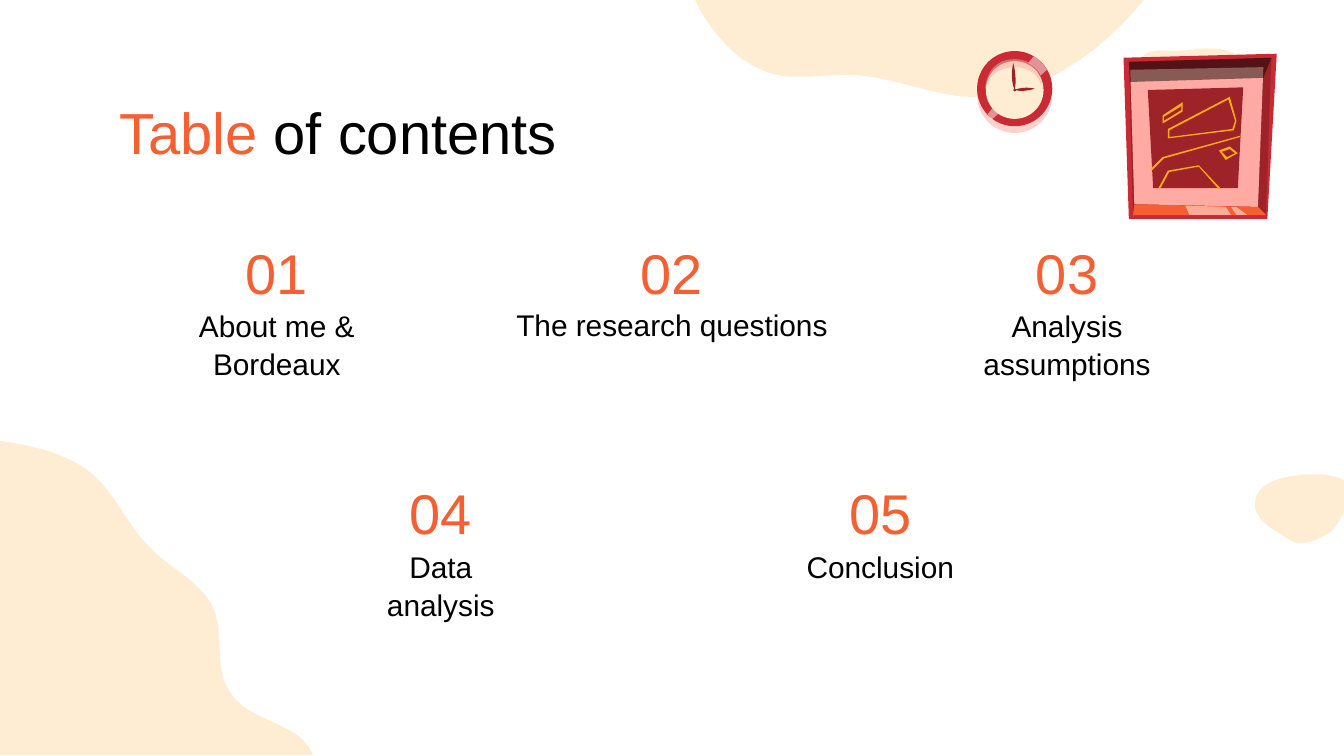
"""Build a table of contents slide with soft blobs, a wall clock and a window."""

from lxml.etree import SubElement
from pptx import Presentation
from pptx.dml.color import RGBColor
from pptx.enum.shapes import MSO_SHAPE
from pptx.enum.text import MSO_ANCHOR, PP_ALIGN
from pptx.oxml.ns import qn
from pptx.util import Cm, Pt

ORANGE = RGBColor(0xF5, 0x60, 0x33)
CREAM = RGBColor(0xFF, 0xED, 0xD3)
RED = RGBColor(0xCA, 0x2A, 0x34)
MAROON = RGBColor(0x9E, 0x23, 0x28)
PINK = RGBColor(0xFF, 0xAB, 0xA4)
GOLD = RGBColor(0xFF, 0xAC, 0x18)
BLACK = RGBColor(0, 0, 0)
WHITE = RGBColor(0xFF, 0xFF, 0xFF)

CURVE_STEPS = 12
NUMBER_WIDTH, NUMBER_HEIGHT = 1.14, 0.72
LABEL_WIDTH, LABEL_HEIGHT = 2.56, 0.48

# number, label, centre, number top, label top
CONTENTS = [
    ("01", "About me &\vBordeaux", 2.06, 1.65, 2.18),
    ("02", "The research questions", 5.00, 1.65, 2.17),
    ("03", "Analysis\nassumptions", 7.94, 1.65, 2.18),
    ("04", "Data\nanalysis", 3.28, 3.44, 3.97),
    ("05", "Conclusion", 6.55, 3.44, 3.97),
]

BLOBS = [
    [(0, 3.28), (0, 5.62), (2.33, 5.62), (2.24, 5.37, 1.85, 5.38, 1.71, 5.15),
     (1.59, 4.97, 1.67, 4.72, 1.59, 4.53), (1.5, 4.33, 1.28, 4.24, 1.13, 4.09),
     (0.96, 3.93, 0.87, 3.69, 0.69, 3.53), (0.5, 3.37, 0.25, 3.32, 0, 3.28)],
    [(8.51, 0), (5.17, 0), (5.3, 0.26, 5.51, 0.5, 5.79, 0.56),
     (5.97, 0.59, 6.15, 0.55, 6.35, 0.56), (6.62, 0.57, 6.89, 0.69, 7.16, 0.72),
     (7.68, 0.76, 8.18, 0.41, 8.51, 0)],
    [(9, 0.36), (8.91, 0.36, 8.83, 0.38, 8.74, 0.38), (8.69, 0.38, 8.65, 0.37, 8.6, 0.38),
     (8.53, 0.38, 8.48, 0.43, 8.46, 0.49), (8.43, 0.55, 8.43, 0.84, 8.46, 0.91),
     (8.49, 0.99, 8.55, 1.05, 8.62, 1.07), (8.7, 1.09, 8.77, 1.07, 8.84, 1.04),
     (8.91, 1.01, 8.98, 0.98, 9.06, 0.97), (9.14, 0.97, 9.23, 1, 9.29, 0.95),
     (9.34, 0.93, 9.36, 0.88, 9.38, 0.83), (9.41, 0.73, 9.39, 0.62, 9.33, 0.53),
     (9.27, 0.44, 9.17, 0.36, 9, 0.36)],
    [(9.78, 3.53), (9.63, 3.53, 9.31, 3.56, 9.34, 3.78), (9.35, 3.83, 9.38, 3.87, 9.42, 3.9),
     (9.46, 3.94, 9.51, 3.96, 9.55, 3.99), (9.58, 4.01, 9.61, 4.03, 9.65, 4.04),
     (9.7, 4.05, 9.75, 4.03, 9.79, 4.02), (9.83, 4, 9.87, 3.98, 9.9, 3.96),
     (9.94, 3.92, 9.97, 3.86, 10, 3.82), (10.02, 3.8, 10.04, 3.78, 10.06, 3.75),
     (10.09, 3.69, 10.05, 3.61, 9.99, 3.57), (9.93, 3.54, 9.86, 3.53, 9.78, 3.53)],
]

# colour, opacity in percent, contours
WINDOW_PARTS = [
    (RED, 100, [[(8.4, 1.63), (8.36, 0.43), (9.5, 0.4), (9.43, 1.63)]]),
    (MAROON, 100, [[(9.46, 0.43), (8.4, 0.46), (8.43, 1.6), (9.42, 1.6)]]),
    (PINK, 100, [[(8.44, 1.52), (9.36, 1.54), (9.4, 0.5), (8.41, 0.52)]]),
    (ORANGE, 100, [[(9.36, 1.54), (9.42, 1.6), (8.43, 1.6), (8.44, 1.52)]]),
    (BLACK, 47, [[(9.46, 0.43), (8.4, 0.46), (8.41, 0.61), (9.4, 0.58)]]),
    (MAROON, 100, [[(9.25, 0.65), (8.54, 0.67), (8.58, 1.4), (9.21, 1.4)]]),
    (GOLD, 100, [[(8.57, 1.27), (8.56, 1.26), (8.65, 1.17), (9.23, 1.01),
                  (9.23, 1.02), (8.66, 1.18)]]),
    (GOLD, 100, [[(8.69, 1.03), (8.69, 0.96), (9.15, 0.72), (9.2, 0.9), (9.18, 0.97)],
                 [(8.7, 0.97), (8.7, 1.02), (9.17, 0.96), (9.19, 0.9), (9.14, 0.74)]]),
    (GOLD, 100, [[(8.65, 0.92), (8.65, 0.86), (8.8, 0.76), (8.8, 0.83)],
                 [(8.66, 0.87), (8.66, 0.9), (8.79, 0.82), (8.79, 0.79)]]),
    (GOLD, 100, [[(9.07, 1.41), (8.92, 1.24), (8.7, 1.28), (8.63, 1.41), (8.62, 1.4),
                  (8.69, 1.27), (8.92, 1.23), (9.08, 1.4)]]),
    (GOLD, 100, [[(9.12, 1.19), (9.07, 1.12), (9.15, 1.09), (9.21, 1.14)],
                 [(9.09, 1.13), (9.13, 1.17), (9.19, 1.14), (9.15, 1.11)]]),
    (WHITE, 49, [[(8.82, 1.53), (8.85, 1.6), (9.16, 1.6), (9.12, 1.54)]]),
    (WHITE, 49, [[(9.16, 1.54), (9.2, 1.6), (9.28, 1.6), (9.2, 1.54)]]),
]

CLOCK_GLARE = [(7.69, 0.42), (7.35, 0.85), (7.38, 0.89), (7.79, 0.52),
               (7.79, 0.52, 7.74, 0.44, 7.69, 0.42)]
CLOCK_SHADE = [(7.55, 0.44), (7.33, 0.44, 7.33, 0.67, 7.33, 0.67),
               (7.33, 0.67, 7.36, 0.5, 7.55, 0.5), (7.74, 0.5, 7.76, 0.67, 7.76, 0.67),
               (7.76, 0.67, 7.76, 0.44, 7.55, 0.44)]
HOUR_HAND = [(7.55, 0.67), (7.55, 0.67, 7.51, 0.59, 7.54, 0.47),
             (7.54, 0.47, 7.57, 0.58, 7.55, 0.67)]
MINUTE_HAND = [(7.55, 0.67), (7.55, 0.67, 7.61, 0.64, 7.7, 0.66),
               (7.7, 0.66, 7.62, 0.69, 7.55, 0.67)]


def length(inches):
    return Cm(inches * 2.54)


def paint(shape, color, opacity=100):
    shape.shadow.inherit = False
    shape.line.fill.background()
    shape.fill.solid()
    shape.fill.fore_color.rgb = color
    if opacity < 100:
        color_element = shape.fill._xPr.find(".//" + qn("a:srgbClr"))
        SubElement(color_element, qn("a:alpha"), val=str(opacity * 1000))


def flatten(contour):
    points = []
    for step in contour:
        if len(step) == 2:
            points.append(step)
            continue
        corners = [points[-1], step[:2], step[2:4], step[4:]]
        for index in range(1, CURVE_STEPS + 1):
            t = index / CURVE_STEPS
            weights = ((1 - t) ** 3, 3 * t * (1 - t) ** 2, 3 * t ** 2 * (1 - t), t ** 3)
            points.append(tuple(sum(weight * corner[axis] for weight, corner in zip(weights, corners))
                                for axis in (0, 1)))
    return [(length(x), length(y)) for x, y in points]


def add_outline(shapes, contours, color, opacity=100):
    outlines = [flatten(contour) for contour in contours]
    builder = shapes.build_freeform(*outlines[0][0])
    for index, points in enumerate(outlines):
        if index:
            builder.move_to(*points[0])
        builder.add_line_segments(points[1:], close=True)
    paint(builder.convert_to_shape(), color, opacity)


def add_disc(shapes, center_x, center_y, diameter, color, opacity=100):
    disc = shapes.add_shape(MSO_SHAPE.OVAL, length(center_x - diameter / 2),
                            length(center_y - diameter / 2), length(diameter), length(diameter))
    paint(disc, color, opacity)


def write_text(shape, text, *, size, color, tail="", tail_color=BLACK,
               alignment=PP_ALIGN.CENTER, anchor=MSO_ANCHOR.TOP, spacing=1.05):
    frame = shape.text_frame
    frame.word_wrap = True
    frame.vertical_anchor = anchor
    frame.margin_left = frame.margin_right = frame.margin_top = frame.margin_bottom = length(0.1)
    frame.text = text
    if tail:
        frame.paragraphs[0].add_run().text = tail
    for paragraph in frame.paragraphs:
        paragraph.alignment = alignment
        paragraph.line_spacing = spacing
        for index, run in enumerate(paragraph.runs):
            run.font.name = "Arial"
            run.font.size = Pt(size)
            run.font.color.rgb = tail_color if tail and index else color


def add_title(slide):
    title = slide.shapes.title
    title.left, title.top = length(0.79), length(0.59)
    title.width, title.height = length(8.43), length(0.69)
    write_text(title, "Table", size=31, color=ORANGE, tail=" of contents", alignment=PP_ALIGN.LEFT)


def add_entry(slide, number, label, center, number_top, label_top):
    number_box = slide.shapes.add_textbox(length(center - NUMBER_WIDTH / 2), length(number_top),
                                          length(NUMBER_WIDTH), length(NUMBER_HEIGHT))
    write_text(number_box, number, size=30, color=ORANGE, anchor=MSO_ANCHOR.MIDDLE)
    label_box = slide.shapes.add_textbox(length(center - LABEL_WIDTH / 2), length(label_top),
                                         length(LABEL_WIDTH), length(LABEL_HEIGHT))
    write_text(label_box, label, size=16, color=BLACK)


def add_window(slide):
    shapes = slide.shapes.add_group_shape().shapes
    for color, opacity, contours in WINDOW_PARTS:
        add_outline(shapes, contours, color, opacity)


def add_clock(slide):
    shapes = slide.shapes.add_group_shape().shapes
    add_disc(shapes, 7.55, 0.71, 0.56, PINK, 54)
    add_disc(shapes, 7.55, 0.66, 0.56, RED)
    add_outline(shapes, [CLOCK_GLARE], WHITE, 49)
    add_disc(shapes, 7.55, 0.66, 0.43, MAROON)
    add_disc(shapes, 7.55, 0.67, 0.43, CREAM)
    add_disc(shapes, 7.55, 0.67, 0.02, MAROON)
    add_outline(shapes, [CLOCK_SHADE], PINK, 54)
    for hand in (HOUR_HAND, MINUTE_HAND):
        add_outline(shapes, [hand], MAROON)


def main():
    presentation = Presentation()
    presentation.slide_width, presentation.slide_height = Cm(25.4), Cm(14.29)
    slide = presentation.slides.add_slide(presentation.slide_layouts[5])
    for blob in BLOBS:
        add_outline(slide.shapes, [blob], CREAM)
    add_title(slide)
    for entry in CONTENTS:
        add_entry(slide, *entry)
    add_window(slide)
    add_clock(slide)
    presentation.save("out.pptx")


if __name__ == "__main__":
    main()
